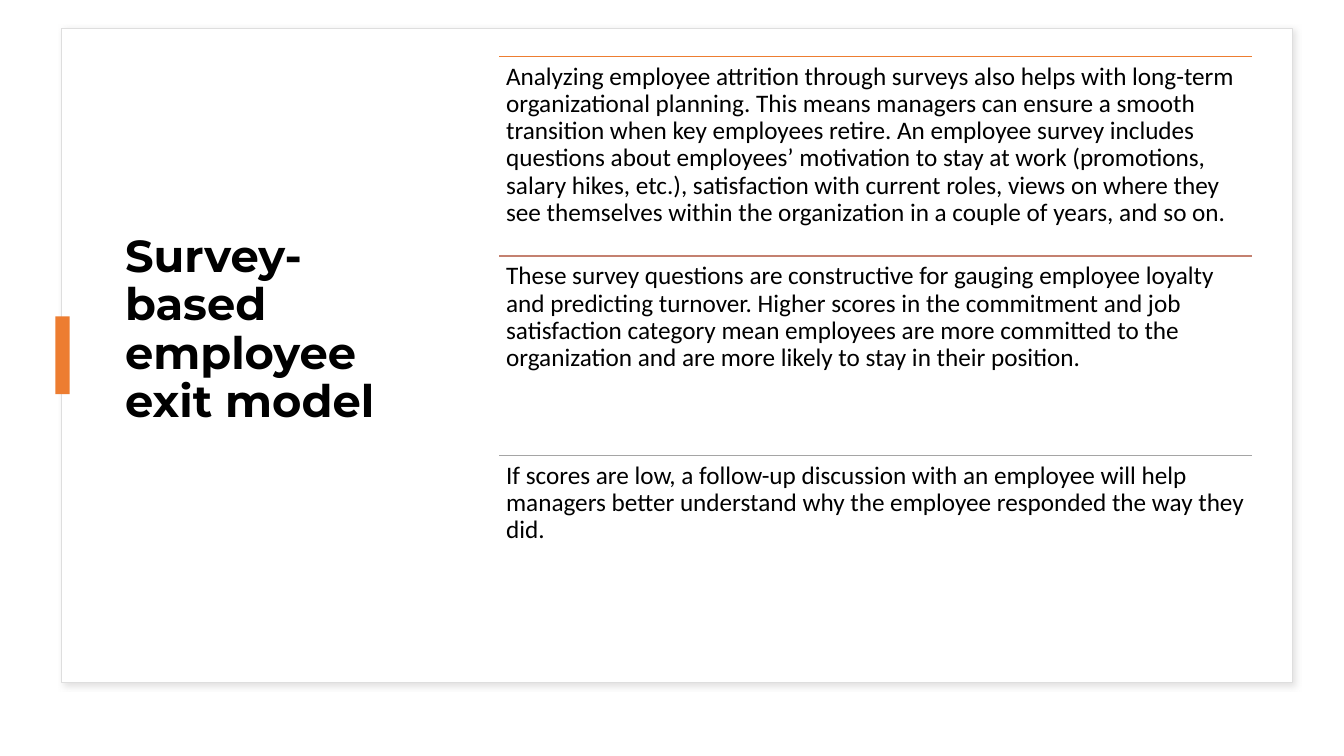
from lxml.etree import SubElement
from pptx import Presentation
from pptx.dml.color import RGBColor
from pptx.enum.shapes import MSO_CONNECTOR, MSO_SHAPE
from pptx.enum.text import MSO_ANCHOR, MSO_AUTO_SIZE, PP_ALIGN
from pptx.oxml.ns import qn
from pptx.util import Emu, Pt

NOTES = [
    ("ED7D31", "Analyzing employee attrition through surveys also helps with long-term organizational planning. "
     "This means managers can ensure a smooth transition when key employees retire. "
     "An employee survey includes questions about employees’ motivation to stay at work "
     "(promotions, salary hikes, etc.), satisfaction with current roles, views on where they see "
     "themselves within the organization in a couple of years, and so on."),
    ("C48170", "These survey questions are constructive for gauging employee loyalty and predicting turnover. "
     "Higher scores in the commitment and job satisfaction category mean employees are more committed "
     "to the organization and are more likely to stay in their position."),
    ("A5A5A5", "If scores are low, a follow-up discussion with an employee will help managers better "
     "understand why the employee responded the way they did."),
]


def px(n):
    return Emu(n * 9144)


def color(code):
    return RGBColor.from_string(code)


def write(frame, text, font, size, bold=False):
    frame.word_wrap = True
    frame.auto_size = MSO_AUTO_SIZE.NONE
    para = frame.paragraphs[0]
    para.alignment = PP_ALIGN.LEFT
    para.line_spacing = 0.9
    run = para.add_run()
    run.text = text
    run.font.name = font
    run.font.size = Pt(size)
    run.font.bold = bold
    run.font.color.rgb = color("000000")


def block(slide, box, fill):
    shape = slide.shapes.add_shape(MSO_SHAPE.RECTANGLE, *map(px, box))
    shape.shadow.inherit = False
    shape.fill.solid()
    shape.fill.fore_color.rgb = color(fill)
    shape.line.fill.background()
    return shape


def card(slide, box):
    shape = block(slide, box, "FFFFFF")
    shape.line.color.rgb = color("DEDEDE")
    shape.line.width = Pt(1)
    glow = SubElement(
        shape._element.spPr.find(qn("a:effectLst")), qn("a:outerShdw"),
        blurRad=str(Pt(4)), dist=str(Pt(3)), dir="2700000", algn="tl", rotWithShape="0")
    tint = SubElement(glow, qn("a:srgbClr"), val="C5C3C3")
    SubElement(tint, qn("a:alpha"), val="50000")
    slide.shapes._spTree.insert(2, shape._element)


def heading(slide, box):
    x, y, w, h = box
    title = slide.shapes.title
    title.left, title.top, title.width, title.height = map(px, box)
    frame = title.text_frame
    frame.vertical_anchor = MSO_ANCHOR.MIDDLE
    frame.margin_bottom = px(54)
    write(frame, "Survey-based employee exit model", "Montserrat", 32, True)
    block(slide, (x - 59, y + 259, 14, 77), "ED7D31")


def column(slide, box):
    x, y, w, h = box
    step = h // len(NOTES)
    for i, (tone, text) in enumerate(NOTES):
        top = y + i * step
        rule = slide.shapes.add_connector(
            MSO_CONNECTOR.STRAIGHT, px(x), px(top), px(x + w), px(top))
        rule.line.color.rgb = color(tone)
        rule.line.width = Pt(1)
        SubElement(rule._element.spPr, qn("a:effectLst"))
        note = slide.shapes.add_textbox(px(x), px(top), px(w), px(step))
        frame = note.text_frame
        frame.margin_left = frame.margin_right = px(7)
        frame.margin_top = frame.margin_bottom = px(7)
        write(frame, text, "Calibri", 18)


def main():
    deck = Presentation()
    deck.slide_width, deck.slide_height = px(1333), px(750)
    slide = deck.slides.add_slide(deck.slide_layouts[5])
    card(slide, (61, 28, 1221, 649))
    heading(slide, (114, 55, 327, 595))
    column(slide, (495, 56, 747, 595))
    deck.save("out.pptx")


if __name__ == "__main__":
    main()
